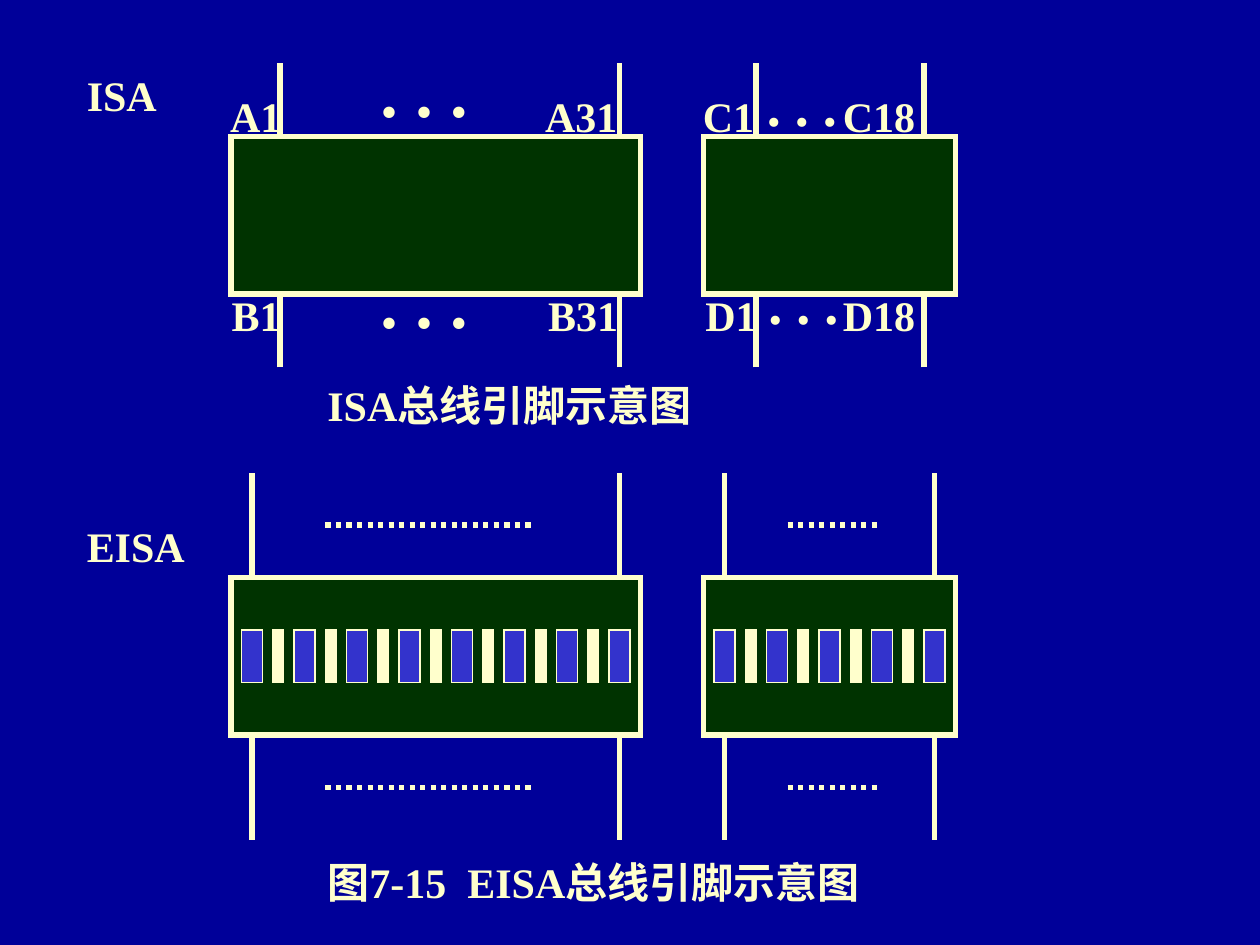
from dataclasses import dataclass

from lxml.etree import SubElement
from pptx import Presentation
from pptx.dml.color import RGBColor
from pptx.enum.dml import MSO_LINE
from pptx.enum.shapes import MSO_CONNECTOR, MSO_SHAPE
from pptx.enum.text import MSO_ANCHOR, MSO_AUTO_SIZE
from pptx.oxml.ns import qn
from pptx.util import Cm, Pt


@dataclass(frozen=True)
class Theme:
    background: RGBColor = RGBColor(0x00, 0x00, 0x99)
    foreground: RGBColor = RGBColor(0xFF, 0xFF, 0xCC)
    slot: RGBColor = RGBColor(0x00, 0x33, 0x00)
    contact: RGBColor = RGBColor(0x33, 0x33, 0xCC)
    font: str = "Times New Roman"
    text_size: int = 24
    small_dots_size: int = 32
    large_dots_size: int = 40
    thick: float = 3
    thin: float = 0.75


THEME = Theme()
GRID = 2.54 / 12  # the drawing grid in centimetres
SLOT_HEIGHT = 15
SLOTS = [(22, 39), (67, 24)]  # left and width in grid steps


def grid(steps):
    return Cm(steps * GRID)


def set_attributes(target, values):
    for name, value in values.items():
        setattr(target, name, value)


# Kinds of element
def add_box(shapes, left, top, width, height, fill, line_width):
    shape = shapes.add_shape(MSO_SHAPE.RECTANGLE, grid(left), grid(top),
                             grid(width), grid(height))
    shape.shadow.inherit = False
    shape.fill.solid()
    shape.fill.fore_color.rgb = fill
    shape.line.color.rgb = THEME.foreground
    shape.line.width = Pt(line_width)
    # Square corners
    SubElement(shape._element.spPr.find(qn("a:ln")), qn("a:miter"), lim="800000")


def add_line(shapes, start, end, dash=None):
    connector = shapes.add_connector(MSO_CONNECTOR.STRAIGHT,
                                     *map(grid, start + end))
    connector.line.color.rgb = THEME.foreground
    set_attributes(connector.line, {"width": Pt(THEME.thick), "dash_style": dash})
    SubElement(connector._element.spPr, qn("a:effectLst"))


def add_text(shapes, text, left, top, width, height,
             size=THEME.text_size, wrap=False, anchor=MSO_ANCHOR.TOP):
    shape = shapes.add_textbox(Cm(left), Cm(top), Cm(width), Cm(height))
    set_attributes(shape.text_frame, {
        "word_wrap": wrap,
        "auto_size": MSO_AUTO_SIZE.NONE if wrap else MSO_AUTO_SIZE.SHAPE_TO_FIT_TEXT,
        "vertical_anchor": anchor,
    })
    run = shape.text_frame.paragraphs[0].add_run()
    run.text = text
    set_attributes(run.font, {"name": THEME.font, "size": Pt(size), "bold": True})
    run.font.color.rgb = THEME.foreground


def add_caption(shapes, text, top, height):
    add_text(shapes, text, 30 * GRID, top * GRID, 65 * GRID, height * GRID,
             wrap=True, anchor=MSO_ANCHOR.MIDDLE)


def add_slots(shapes, top, pins, pin_length):
    """Two slots with pins running out above and below."""
    for left, width in SLOTS:
        add_box(shapes, left, top, width, SLOT_HEIGHT, THEME.slot, THEME.thick)
    bottom = top + SLOT_HEIGHT
    for x in pins:
        add_line(shapes, (x, top), (x, top - pin_length))
        add_line(shapes, (x, bottom + pin_length), (x, bottom))


def add_contacts(shapes, left, top, count):
    """Wide contacts with a narrow key between each pair."""
    for index in range(count):
        x = left + 5 * index
        add_box(shapes, x, top, 2, 5, THEME.contact, THEME.thin)
        if index < count - 1:
            add_box(shapes, x + 3, top, 1, 5, THEME.foreground, THEME.thin)


# The two diagrams
def add_isa(shapes):
    add_slots(shapes, 13, [26.67, 59, 72, 88], 7)
    pin_labels = [
        ("A1", 4.39, 1.7, 1.6), ("A31", 10.74, 1.7, 2),
        ("B1", 4.42, 5.72, 1.6), ("B31", 10.8, 5.72, 2),
        ("C1", 13.92, 1.7, 1.6), ("C18", 16.74, 1.7, 2),
        ("D1", 13.97, 5.72, 1.6), ("D18", 16.74, 5.72, 2),
    ]
    for text, left, top, width in pin_labels:
        add_text(shapes, text, left, top, width, 1.27)
    ellipses = [
        (7.42, 0.84, 2.35, 1.96, THEME.large_dots_size),
        (7.42, 5.08, 2.35, 1.96, THEME.large_dots_size),
        (15.21, 1.3, 2, 1.63, THEME.small_dots_size),
        (15.24, 5.28, 2, 1.63, THEME.small_dots_size),
    ]
    for left, top, width, height, size in ellipses:
        add_text(shapes, ". . .", left, top, width, height, size)


def add_eisa(shapes):
    add_slots(shapes, 55, [24, 59, 69, 89], 10)
    for (left, _), count in zip(SLOTS, (8, 5)):
        add_contacts(shapes, left + 1, 60, count)
    for y in (50, 75):
        for start, end in ((31, 51), (75, 84)):
            add_line(shapes, (start, y), (end, y), MSO_LINE.ROUND_DOT)


def main():
    presentation = Presentation()
    set_attributes(presentation, {"slide_width": Cm(25.4), "slide_height": Cm(19.05)})
    slide = presentation.slides.add_slide(presentation.slide_layouts[6])
    slide.background.fill.solid()
    slide.background.fill.fore_color.rgb = THEME.background

    # ISA bus
    add_text(slide.shapes, "ISA", 1.5, 1.27, 2, 1.27)
    add_isa(slide.shapes.add_group_shape().shapes)
    add_caption(slide.shapes, "ISA总线引脚示意图", 35, 7)

    # EISA bus
    add_text(slide.shapes, "EISA", 1.5, 10.37, 2.55, 1.27)
    add_eisa(slide.shapes.add_group_shape().shapes)
    add_caption(slide.shapes, "图7-15  EISA总线引脚示意图", 81, 6)

    presentation.save("out.pptx")


if __name__ == "__main__":
    main()
